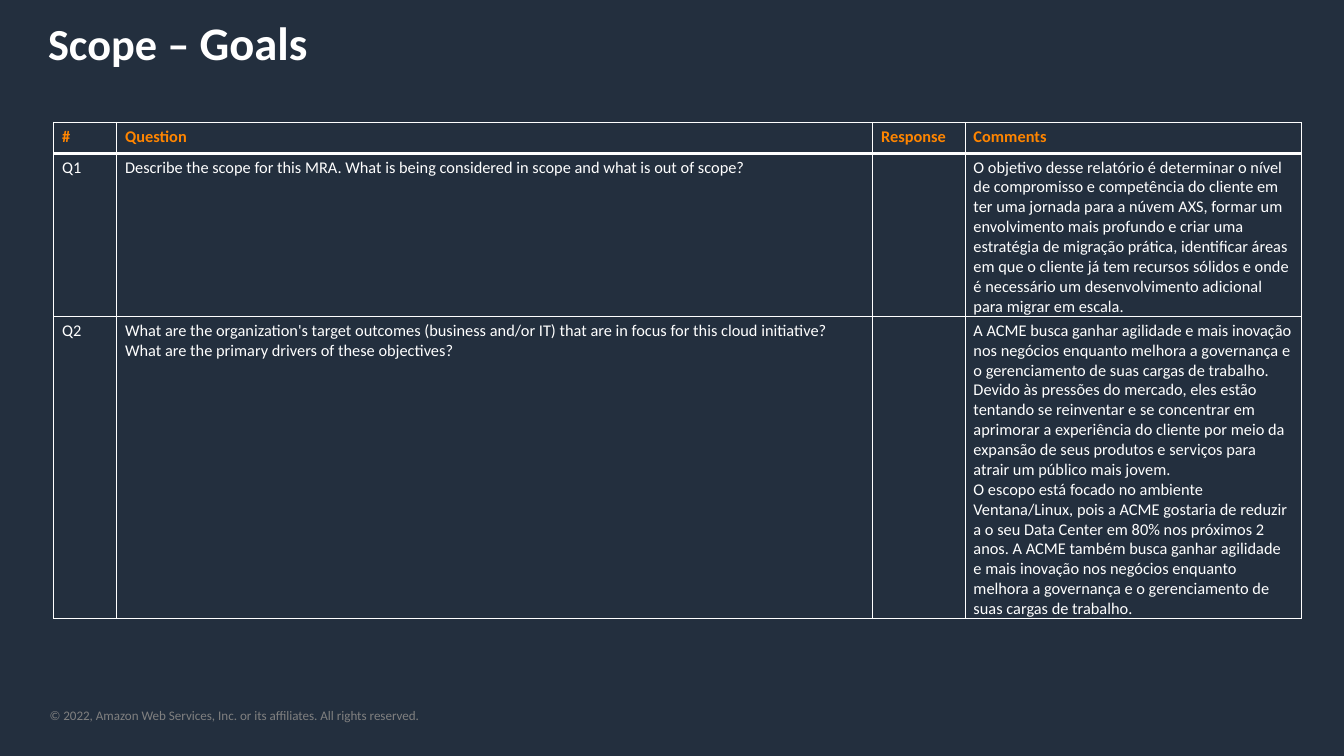
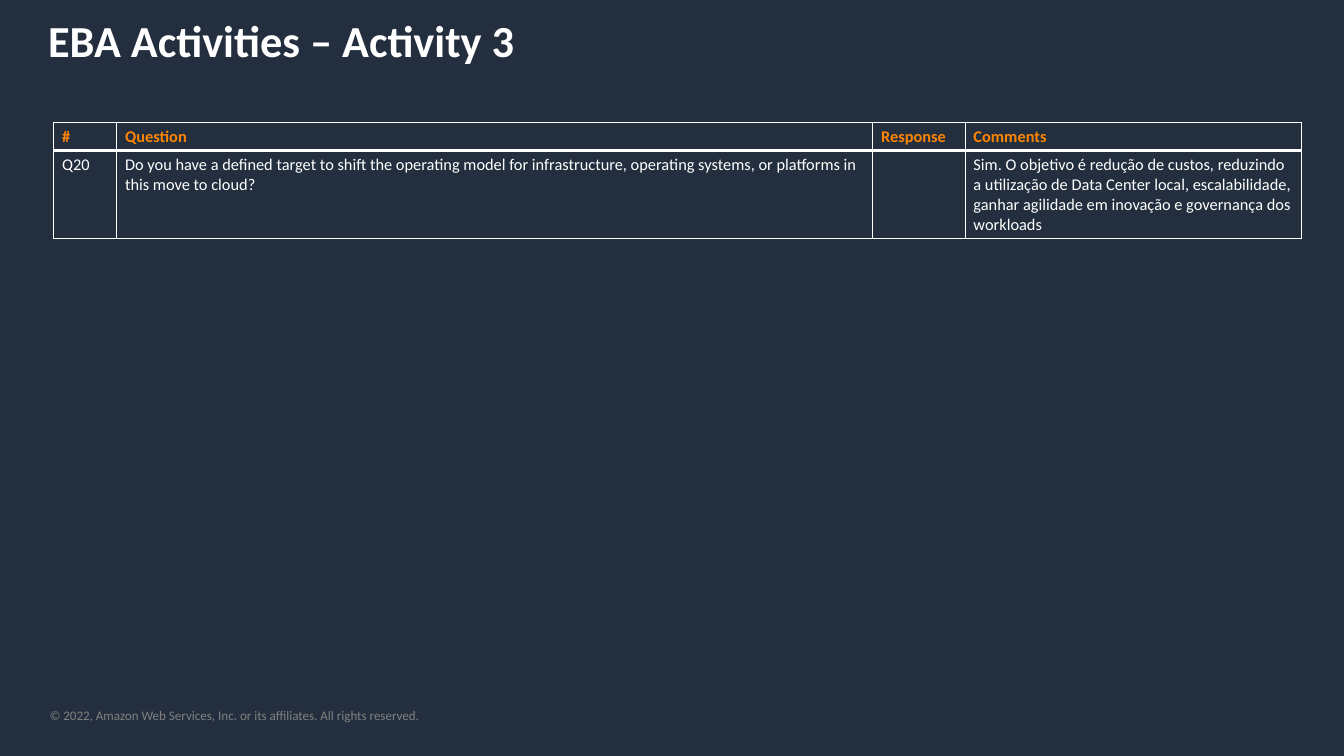
from lxml import etree
from pptx import Presentation
from pptx.dml.color import RGBColor
from pptx.enum.text import MSO_ANCHOR, MSO_AUTO_SIZE, PP_ALIGN
from pptx.oxml.ns import qn
from pptx.util import Pt

TOP = MSO_ANCHOR.TOP
NO_FIT = MSO_AUTO_SIZE.NONE
LEFT = PP_ALIGN.LEFT

NAVY = RGBColor(0x23, 0x2F, 0x3E)
WHITE = RGBColor(0xFF, 0xFF, 0xFF)
ORANGE = RGBColor(0xFF, 0x85, 0x00)
GRAY = RGBColor(0x80, 0x80, 0x80)
FONT = "Calibri"

TITLE_ONLY = 5
TITLE_SIZE = 38
COLUMN_WIDTHS = (54, 648, 79.2, 288)
HEADERS = ("#", "Question", "Response", "Comments")
COPYRIGHT = "© 2022, Amazon Web Services, Inc. or its affiliates. All rights reserved."

GOALS = [
    ("Q1",
     "Describe the scope for this MRA. What is being considered in scope and "
     "what is out of scope?",
     "",
     "O objetivo desse relatório é determinar o nível de compromisso e "
     "competência do cliente em ter uma jornada para a núvem AXS, formar um "
     "envolvimento mais profundo e criar uma estratégia de migração prática, "
     "identificar áreas em que o cliente já tem recursos sólidos e onde é "
     "necessário um desenvolvimento adicional para migrar em escala."),
    ("Q2",
     "What are the organization's target outcomes (business and/or IT) that "
     "are in focus for this cloud initiative?  What are the primary drivers "
     "of these objectives?",
     "",
     "A ACME busca ganhar agilidade e mais inovação nos negócios enquanto "
     "melhora a governança e o gerenciamento de suas cargas de trabalho.\n"
     "Devido às pressões do mercado, eles estão tentando se reinventar e se "
     "concentrar em aprimorar a experiência do cliente por meio da expansão "
     "de seus produtos e serviços para atrair um público mais jovem.\n"
     "O escopo está focado no ambiente Ventana/Linux, pois a ACME gostaria de "
     "reduzir a o seu Data Center em 80% nos próximos 2 anos. A ACME também "
     "busca ganhar agilidade e mais inovação nos negócios enquanto melhora a "
     "governança e o gerenciamento de suas cargas de trabalho."),
]

ACTIVITY = [
    ("Q20",
     "Do you have a defined target to shift the operating model for "
     "infrastructure, operating systems, or platforms in this move to cloud?",
     "",
     "Sim. O objetivo é redução de custos, reduzindo a utilização de Data "
     "Center local, escalabilidade, ganhar agilidade em inovação e governança "
     "dos workloads"),
]


def add_run(p, text, size, color, bold=False):
    r = p.add_run()
    r.text = text
    r.font.name = FONT
    r.font.size = Pt(size)
    r.font.bold = bold
    r.font.color.rgb = color


def set_up_layout(prs):
    """Give every slide the background and the title frame."""
    fill = prs.slide_master.background.fill
    fill.solid()
    fill.fore_color.rgb = NAVY
    layout = prs.slide_layouts[TITLE_ONLY]
    title, *footers = layout.placeholders
    for sp in footers:
        sp.element.getparent().remove(sp.element)
    title.left, title.top = Pt(34), Pt(8)
    title.width, title.height = Pt(1098), Pt(55)
    return layout


def add_copyright(slide, layout):
    """Build the copyright line and hand it over to the layout."""
    sp = slide.shapes.add_textbox(Pt(42.5), Pt(606), Pt(560), Pt(14))
    tf = sp.text_frame
    tf.word_wrap = True
    tf.margin_left = tf.margin_top = tf.margin_right = tf.margin_bottom = 0
    add_run(tf.paragraphs[0], COPYRIGHT, 11.2, GRAY)
    layout.shapes.element.append(sp.element)


def set_title(slide, runs):
    tf = slide.shapes.title.text_frame
    tf.vertical_anchor = TOP
    tf.auto_size = NO_FIT
    p = tf.paragraphs[0]
    p.alignment = LEFT
    for text, size in runs:
        add_run(p, text, size, WHITE, bold=True)


def set_borders(cell, top, bottom):
    tc_pr = cell._tc.get_or_add_tcPr()
    for tag, width in (("a:lnL", 1), ("a:lnR", 1), ("a:lnT", top), ("a:lnB", bottom)):
        ln = etree.SubElement(tc_pr, qn(tag), w=str(Pt(width)))
        fill = etree.SubElement(ln, qn("a:solidFill"))
        etree.SubElement(fill, qn("a:srgbClr"), val=str(WHITE))


def fill_cell(cell, text, is_header):
    tf = cell.text_frame
    for i, line in enumerate(text.splitlines()):
        p = tf.add_paragraph() if i else tf.paragraphs[0]
        add_run(p, line, 14, ORANGE if is_header else WHITE, is_header)


def add_questions(slide, questions, row_height, margin_bottom):
    rows = [HEADERS, *questions]
    frame = slide.shapes.add_table(
        len(rows), len(HEADERS), Pt(46), Pt(105),
        Pt(sum(COLUMN_WIDTHS)), Pt(row_height * len(rows)))
    table = frame.table
    table.horz_banding = False
    for column, width in zip(table.columns, COLUMN_WIDTHS):
        column.width = Pt(width)
    for i, texts in enumerate(rows):
        table.rows[i].height = Pt(row_height)
        for cell, text in zip(table.rows[i].cells, texts):
            set_borders(cell, top=3 if i == 1 else 1, bottom=3 if i == 0 else 1)
            cell.fill.background()
            cell.margin_bottom = Pt(margin_bottom)
            fill_cell(cell, text, is_header=i == 0)


def main():
    prs = Presentation()
    prs.slide_width, prs.slide_height = Pt(1152), Pt(648)
    layout = set_up_layout(prs)

    goals = prs.slides.add_slide(layout)
    add_copyright(goals, layout)
    set_title(goals, [("Scope – ", TITLE_SIZE), ("Goals", 40)])
    add_questions(goals, GOALS, row_height=26.4, margin_bottom=0)

    activity = prs.slides.add_slide(layout)
    set_title(activity, [("EBA Activities – Activity 3", TITLE_SIZE)])
    add_questions(activity, ACTIVITY, row_height=20, margin_bottom=3.6)

    prs.save("out.pptx")


if __name__ == "__main__":
    main()
